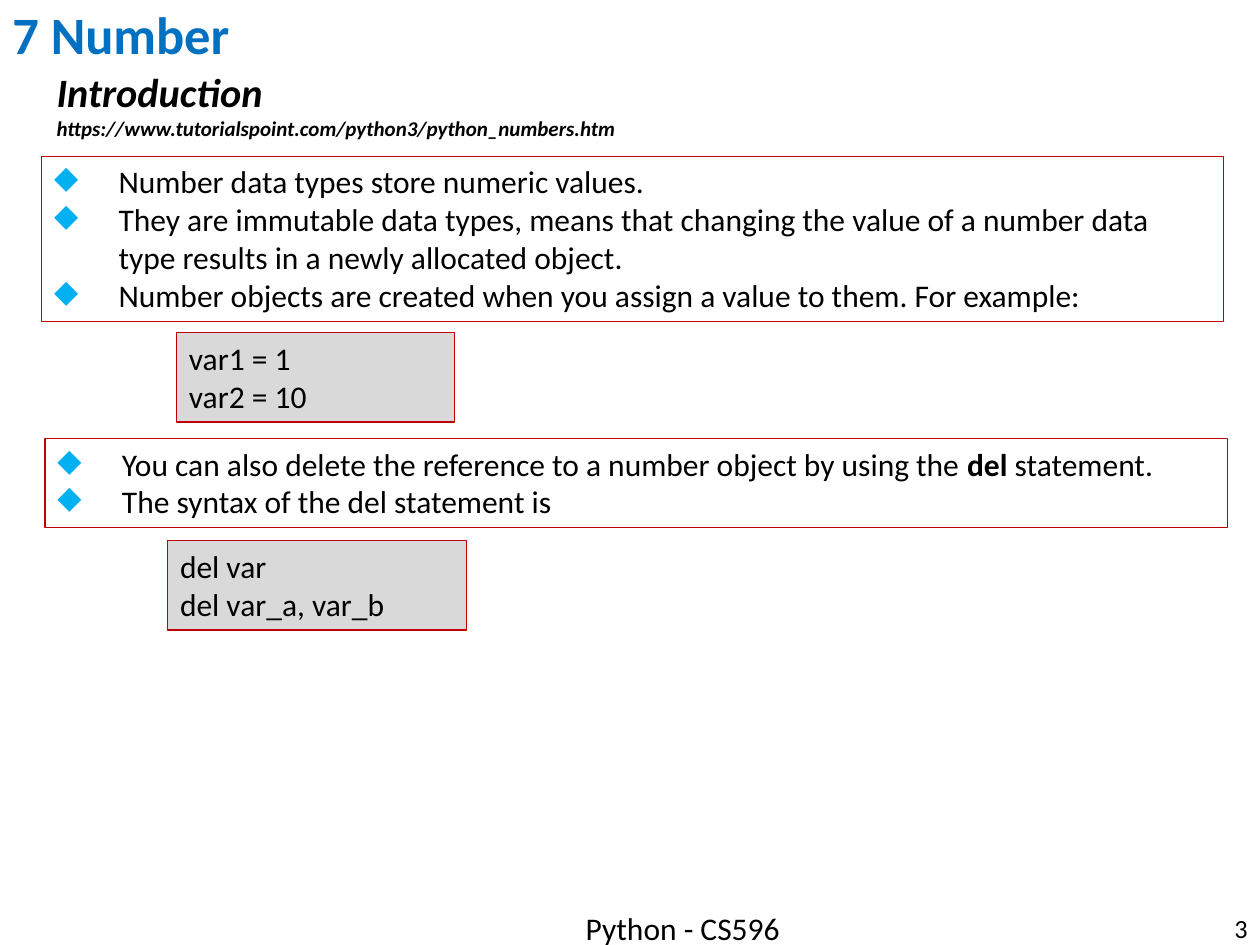
"""Build the slide that introduces numbers in Python."""
from lxml import etree
from pptx import Presentation
from pptx.dml.color import RGBColor
from pptx.enum.shapes import MSO_SHAPE as Shape
from pptx.enum.text import MSO_ANCHOR as Anchor, PP_ALIGN as Align
from pptx.oxml.ns import qn
from pptx.util import Cm, Pt


def paint(color_format, value):
    color_format.rgb = RGBColor.from_string(value)


def write(shape, text, size, color="000000", align=Align.LEFT, anchor=Anchor.TOP):
    text_frame = shape.text_frame
    text_frame.word_wrap = True
    text_frame.vertical_anchor = anchor
    text_frame.text = text
    for paragraph in text_frame.paragraphs:
        paragraph.alignment = align
        for run in paragraph.runs:
            run.font.name = "Calibri"
            run.font.size = Pt(size)
            paint(run.font.color, color)
    return text_frame.paragraphs


presentation = Presentation()
presentation.slide_width, presentation.slide_height = Cm(25.4), Cm(19.05)
slide = presentation.slides.add_slide(presentation.slide_layouts[6])

number = slide.shapes.add_textbox(Cm(19.69), Cm(18.19), Cm(5.71), Cm(1.02))
write(number, "3", 15, align=Align.RIGHT, anchor=Anchor.MIDDLE)

title = slide.shapes.add_textbox(Cm(0), Cm(-0.08), Cm(25.4), Cm(1.68))
for paragraph in write(title, "7 Number", 30, "0070C0", anchor=Anchor.MIDDLE):
    paragraph.line_spacing = 0.9
    paragraph.runs[0].font.bold = True

heading = slide.shapes.add_textbox(Cm(0.89), Cm(1.24), Cm(16.18), Cm(1.75))
heading_text = "Introduction\nhttps://www.tutorialspoint.com/python3/python_numbers.htm"
for paragraph, size in zip(write(heading, heading_text, 23), (23, 12)):
    font = paragraph.runs[0].font
    font.size, font.bold, font.italic = Pt(size), True, True

footer = slide.shapes.add_textbox(Cm(7.82), Cm(18.21), Cm(11.89), Cm(1.02))
write(footer, "Python - CS596", 18, align=Align.CENTER)

INDENT = Cm(1.3)
BOXES = [
    (0.84, 3.15, 23.83, 3.33, True, [
        "Number data types store numeric values.",
        "They are immutable data types, means that changing the value of a number data "
        "type results in a newly allocated object.",
        "Number objects are created when you assign a value to them. For example:",
    ]),
    (3.56, 6.71, 5.61, 1.8, False, ["var1 = 1", "var2 = 10"]),
    (0.91, 8.84, 23.83, 1.8, True, [
        "You can also delete the reference to a number object by using the *del* statement.",
        "The syntax of the del statement is",
    ]),
    (3.38, 10.9, 6.02, 1.8, False, ["del var", "del var_a, var_b"]),
]
for left, top, width, height, bulleted, lines in BOXES:
    box = slide.shapes.add_shape(Shape.RECTANGLE, Cm(left), Cm(top), Cm(width), Cm(height))
    box.shadow.inherit = False
    paint(box.line.color, "C00000")
    box.line.width = Pt(0.75)
    if bulleted:
        box.fill.background()
    else:
        box.fill.solid()
        paint(box.fill.fore_color, "D9D9D9")
    for paragraph, line in zip(write(box, "\n".join(lines), 18), lines):
        properties = paragraph._p.get_or_add_pPr()
        properties.set("marL", str(INDENT))
        properties.set("indent", str(-INDENT))
        if bulleted:
            bullet_color = etree.SubElement(properties, qn("a:buClr"))
            etree.SubElement(bullet_color, qn("a:srgbClr"), val="00B0F0")
            etree.SubElement(properties, qn("a:buChar"), char="◆")
        if "*" in line:
            paragraph.text = ""
            for position, part in enumerate(line.split("*")):
                run = paragraph.add_run()
                run.text = part
                run.font.name = "Calibri"
                run.font.size = Pt(18)
                run.font.bold = position == 1
                paint(run.font.color, "000000")

presentation.save("out.pptx")
